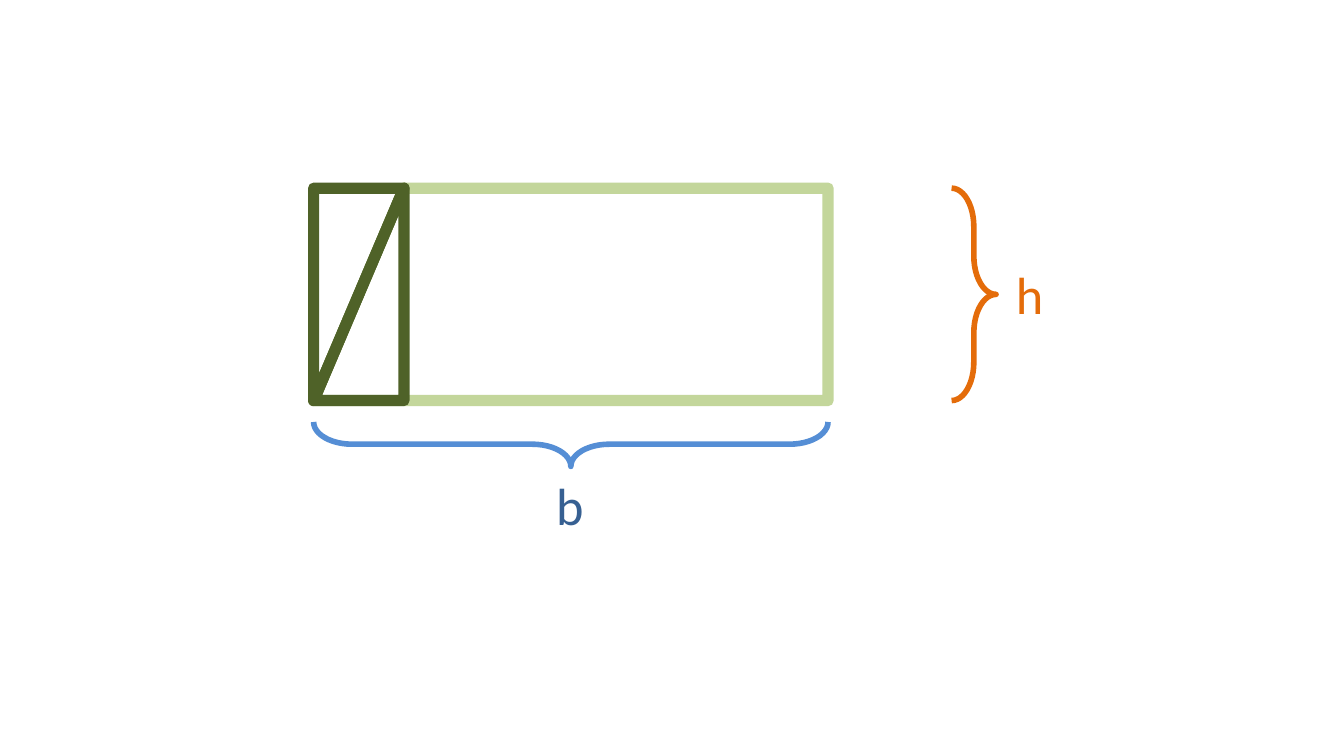
import pptx
import pptx.util
import pptx.dml.color
import pptx.enum.shapes
import pptx.enum.text

Pt = pptx.util.Pt
RGB = pptx.dml.color.RGBColor.from_string
SHAPE = pptx.enum.shapes.MSO_SHAPE

THEME = {
    "height": "E46C0A", "base": "558ED5", "base_label": "376092",
    "trapezoid": "C3D69B", "triangle": "4F6228",
    "font": "Calibri", "label_size": 28, "brace_line": 3, "side_line": 6,
}

deck = pptx.Presentation()
deck.slide_width, deck.slide_height = Pt(720), Pt(405)
slide = deck.slides.add_slide(deck.slide_layouts[6])

# Parallelogram cut and rearranged into a rectangle
left, top, base, height = 168, 100.8, 275.6, 113.8
cut = 48.4
right, bottom = left + base, top + height
brace_depth = 23.8


def outline(figure, colour, width):
    figure.shadow.inherit = False
    figure.fill.background()
    figure.line.color.rgb = RGB(THEME[colour])
    figure.line.width = Pt(THEME[width])


def add_outlined(preset, box, adjustments, rotation, colour, width):
    figure = slide.shapes.add_shape(preset, *map(Pt, box))
    for index, value in enumerate(adjustments):
        figure.adjustments[index] = value
    figure.rotation = rotation
    outline(figure, colour, width)


# The base brace is turned a quarter, so its box is centred on the turned one
base_middle, brace_middle = left + base / 2, 238
braces = [
    ((509.8, top, brace_depth, height), 0, "height"),
    ((base_middle - brace_depth / 2, brace_middle - base / 2, brace_depth, base), 90, "base"),
]
for box, rotation, colour in braces:
    add_outlined(SHAPE.RIGHT_BRACE, box, (0.867, 0.5), rotation, colour, "brace_line")

for letter, x, y, colour in [("h", 537.1, 136.8, "height"), ("b", 290.9, 249.8, "base_label")]:
    label = slide.shapes.add_textbox(Pt(x), Pt(y), Pt(30.2), Pt(41))
    label.text_frame.word_wrap = False
    label.text_frame.auto_size = pptx.enum.text.MSO_AUTO_SIZE.SHAPE_TO_FIT_TEXT
    run = label.text_frame.paragraphs[0].add_run()
    run.text = letter
    font_format = {"name": THEME["font"], "size": Pt(THEME["label_size"])}
    for attribute, value in font_format.items():
        setattr(run.font, attribute, value)
    run.font.color.rgb = RGB(THEME[colour])

trapezoid_path = slide.shapes.build_freeform(Pt(left), Pt(bottom))
trapezoid_path.add_line_segments(
    [(Pt(x), Pt(y)) for x, y in [(left + cut, top), (right, top), (right, bottom)]], close=True
)
outline(trapezoid_path.convert_to_shape(), "trapezoid", "side_line")

for rotation in (0, 180):
    add_outlined(SHAPE.ISOSCELES_TRIANGLE, (left, top, cut, height), (1,), rotation,
                 "triangle", "side_line")

deck.save("out.pptx")
